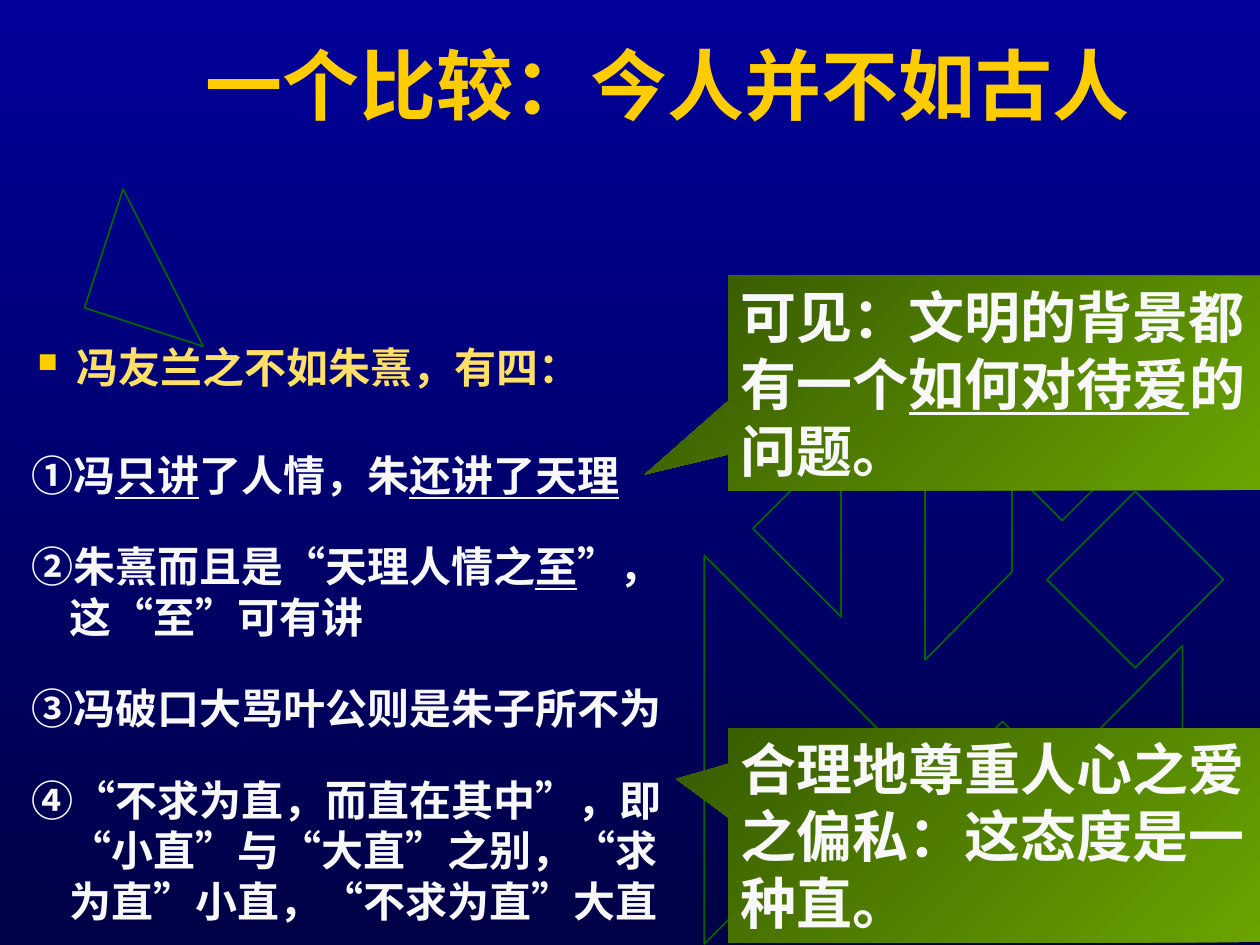
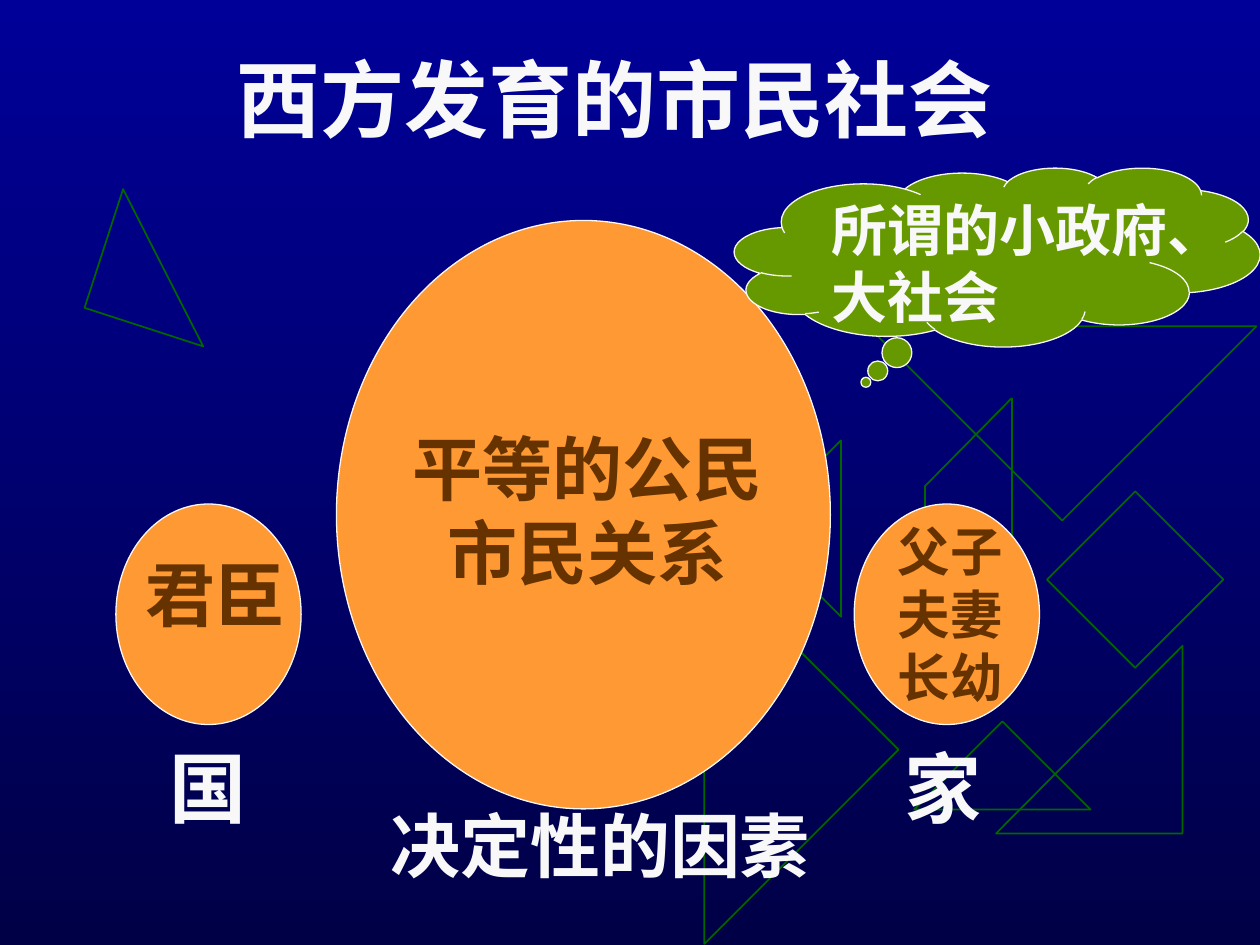
from dataclasses import dataclass
from typing import Any

import lxml.etree
import pptx
import pptx.dml.color
import pptx.enum.shapes
import pptx.enum.text
import pptx.oxml.ns
import pptx.util

Inches = pptx.util.Inches
Pt = pptx.util.Pt
Kind = pptx.enum.shapes.MSO_SHAPE
Align = pptx.enum.text.PP_ALIGN
Anchor = pptx.enum.text.MSO_ANCHOR
qn = pptx.oxml.ns.qn


@dataclass(frozen=True)
class Theme:
    sky_top: str = "000099"
    sky_bottom: str = "000047"
    outline: str = "006600"
    gold: str = "FFCC00"
    pale_gold: str = "FFE066"
    white: str = "F8F8F8"
    orange: str = "FF9933"
    brown: str = "663300"
    green: str = "669900"
    callout_light: str = "6AA400"
    callout_dark: str = "3A5E00"
    sans: str = "Arial"
    serif: str = "Times New Roman"
    chinese: str = "Noto Sans CJK SC"
    banner: int = 48
    heading: int = 44
    large: int = 40
    remark: int = 32
    family: int = 30
    body: int = 24
    line_pitch: float = 1.2


THEME = Theme()


@dataclass(frozen=True)
class Box:
    left: float
    top: float
    width: float
    height: float

    def lengths(self) -> tuple[int, ...]:
        return tuple(Inches(v) for v in (self.left, self.top, self.width, self.height))


@dataclass(frozen=True)
class Outline:
    box: Box
    rotation: float = 0
    flipped: bool = False
    kind: Any = Kind.RIGHT_TRIANGLE


@dataclass(frozen=True)
class Label:
    text: str
    box: Box
    size: int
    color: str = THEME.white
    font: str = THEME.sans
    align: Any = Align.LEFT


@dataclass(frozen=True)
class Remark:
    text: str
    top: float
    tail: tuple[float, float]


OUTLINES = [
    Outline(Box(0.8, 1.63, 0.99, 0.99), 108, True),
    Outline(Box(7.46, 5.93, 0.99, 0.99), 225, True),
    Outline(Box(7.9, 5.13, 1.49, 1.48), 270),
    Outline(Box(8.31, 3.9, 1.4, 1.4), kind=Kind.DIAMOND),
    Outline(Box(4.5, 4.86, 2.18, 2.18), 225),
    Outline(Box(6.18, 3.7, 0.99, 0.99), 135, True),
    Outline(Box(7.34, 1.5, 2.18, 2.18), 315),
]
BLADE_CORNERS = [(8.03, 3.16), (8.03, 4.54), (7.34, 5.24), (7.34, 3.86)]

ARGUMENTS = [
    "①冯_只讲_了人情，朱_还讲了天理_",
    "②朱熹而且是“天理人情之_至_”，\n这“至”可有讲",
    "③冯破口大骂叶公则是朱子所不为",
    "④“不求为直，而直在其中”，即\n“小直”与“大直”之别，“求\n为直”小直，“不求为直”大直",
]
REMARKS = [
    Remark("可见：文明的背景都有一个_如何对待爱_的问题。", 2.19, (-0.657, 0.427)),
    Remark("合理地尊重人心之爱之偏私：这态度是一种直。", 5.78, (-0.598, -0.263)),
]

SPHERES = [
    Box(2.67, 1.75, 3.92, 4.67),
    Box(0.92, 4, 1.47, 1.75),
    Box(6.78, 4, 1.47, 1.75),
]
SPHERE_LABELS = [
    Label("国", Box(1.25, 5.83, 0.83, 0.84), THEME.heading),
    Label("家", Box(7.08, 5.83, 0.83, 0.84), THEME.heading),
    Label("决定性的因素", Box(3, 6.32, 3.67, 0.77), THEME.large),
    Label("平等的公民市民关系", Box(3, 3.33, 3.33, 1.44), THEME.large,
          THEME.brown, THEME.serif, Align.CENTER),
    Label("君臣", Box(0.75, 4.33, 1.92, 0.77), THEME.large,
          THEME.brown, align=Align.CENTER),
]


def rgb(color: str) -> pptx.dml.color.RGBColor:
    return pptx.dml.color.RGBColor.from_string(color)


def write(paragraph: Any, text: str, *, size: int, color: str = THEME.white,
          font: str = THEME.sans, align: Any = Align.LEFT,
          before: float = 0, pitch: float = THEME.line_pitch) -> None:
    """Fill a paragraph; _marked_ parts are underlined, newlines break the line."""
    paragraph.alignment = align
    paragraph.line_spacing = Pt(size * pitch)
    paragraph.space_before = Pt(before)
    for part, words in enumerate(text.split("_")):
        for row, line in enumerate(words.split("\n")):
            if row:
                paragraph.add_line_break()
            if not line:
                continue
            run = paragraph.add_run()
            run.text = line
            run.font.name = font
            run.font.size = Pt(size)
            run.font.bold = True
            run.font.underline = part % 2 == 1
            run.font.color.rgb = rgb(color)
            east_asian = lxml.etree.Element(qn("a:ea"), typeface=THEME.chinese)
            run.font.element.find(qn("a:latin")).addnext(east_asian) if hasattr(
                run.font, "element") else run._r.rPr.find(qn("a:latin")).addnext(east_asian)


def set_gradient(fill: Any, colors: tuple[str, str], angle: float) -> None:
    fill.gradient()
    fill.gradient_angle = angle
    for stop, color in zip(fill.gradient_stops, colors):
        stop.color.rgb = rgb(color)


def add_figure(slide: Any, kind: Any, box: Box, *, fill: str | None = None,
               line: str | None = None, weight: float = 0.75) -> Any:
    figure = slide.shapes.add_shape(kind, *box.lengths())
    figure.shadow.inherit = False
    if fill:
        figure.fill.solid()
        figure.fill.fore_color.rgb = rgb(fill)
    else:
        figure.fill.background()
    if line:
        figure.line.color.rgb = rgb(line)
        figure.line.width = Pt(weight)
    else:
        figure.line.fill.background()
    return figure


def add_backdrop(slide: Any) -> None:
    """Draw the green outlines behind the content of every slide."""
    for outline in OUTLINES:
        figure = add_figure(slide, outline.kind, outline.box, line=THEME.outline, weight=1)
        figure.rotation = outline.rotation
        if outline.flipped:
            figure.element.spPr.find(qn("a:xfrm")).set("flipH", "1")
    for start, end in zip(BLADE_CORNERS, BLADE_CORNERS[1:] + BLADE_CORNERS[:1]):
        edge = slide.shapes.add_connector(
            pptx.enum.shapes.MSO_CONNECTOR.STRAIGHT, *(Inches(v) for v in start + end))
        edge.line.color.rgb = rgb(THEME.outline)
        edge.line.width = Pt(1)
        lxml.etree.SubElement(edge.element.spPr, qn("a:effectLst"))


def add_slide(deck: Any, title: str, box: Box, **style: Any) -> Any:
    slide = deck.slides.add_slide(deck.slide_layouts[5])
    heading = slide.shapes.title
    heading.left, heading.top, heading.width, heading.height = box.lengths()
    heading.text_frame.auto_size = pptx.enum.text.MSO_AUTO_SIZE.NONE
    heading.text_frame.vertical_anchor = Anchor.MIDDLE
    write(heading.text_frame.paragraphs[0], title, **style)
    add_backdrop(slide)
    return slide


def add_text_frame(slide: Any, box: Box) -> Any:
    frame = slide.shapes.add_textbox(*box.lengths()).text_frame
    frame.word_wrap = True
    return frame


def add_label(slide: Any, label: Label) -> None:
    """Write one paragraph for each line of the label."""
    frame = add_text_frame(slide, label.box)
    for row, line in enumerate(label.text.split("\n")):
        paragraph = frame.add_paragraph() if row else frame.paragraphs[0]
        write(paragraph, line, size=label.size, color=label.color,
              font=label.font, align=label.align)


def set_indent(paragraph: Any, margin: float, hanging: float) -> Any:
    properties = paragraph._p.get_or_add_pPr()
    properties.set("marL", str(Inches(margin)))
    properties.set("indent", str(-Inches(hanging)))
    return properties


def add_square_bullet(properties: Any) -> None:
    bullet_color = lxml.etree.SubElement(properties, qn("a:buClr"))
    lxml.etree.SubElement(bullet_color, qn("a:srgbClr"), val=THEME.gold)
    lxml.etree.SubElement(properties, qn("a:buSzPct"), val="65000")
    lxml.etree.SubElement(properties, qn("a:buChar"), char="■")


def add_arguments(slide: Any) -> None:
    frame = add_text_frame(slide, Box(0.15, 2.66, 5.36, 4.84))
    lead = frame.paragraphs[0]
    add_square_bullet(set_indent(lead, 0.36, 0.31))
    write(lead, "冯友兰之不如朱熹，有四：", size=THEME.body, color=THEME.pale_gold)
    for order, argument in enumerate(ARGUMENTS):
        paragraph = frame.add_paragraph()
        set_indent(paragraph, 0.3, 0.3)
        write(paragraph, argument, size=THEME.body, before=23.5 if order else 33)


def add_remark(slide: Any, remark: Remark) -> None:
    callout = add_figure(slide, Kind.RECTANGULAR_CALLOUT, Box(5.78, remark.top, 4.22, 1.7))
    set_gradient(callout.fill, (THEME.callout_light, THEME.callout_dark), 135)
    callout.adjustments[0], callout.adjustments[1] = remark.tail
    callout.text_frame.word_wrap = True
    callout.text_frame.vertical_anchor = Anchor.TOP
    write(callout.text_frame.paragraphs[0], remark.text,
          size=THEME.remark, font=THEME.chinese)


def build_comparison(deck: Any) -> None:
    slide = add_slide(deck, "一个比较：今人并不如古人", Box(1.32, 0.16, 7.75, 1.09),
                      size=THEME.heading, color=THEME.gold, font=THEME.serif,
                      align=Align.RIGHT, pitch=1.08)
    add_arguments(slide)
    for remark in REMARKS:
        add_remark(slide, remark)


def build_civil_society(deck: Any) -> None:
    slide = add_slide(deck, "西方发育的市民社会", Box(1.25, 0.33, 7.25, 0.9),
                      size=THEME.banner, align=Align.CENTER)
    for sphere in SPHERES:
        add_figure(slide, Kind.OVAL, sphere, fill=THEME.orange, line=THEME.white)
    for label in SPHERE_LABELS:
        add_label(slide, label)
    add_label(slide, Label("父子\n夫妻\n长幼", Box(6.58, 4.07, 1.92, 1.6), THEME.family,
                           THEME.brown, align=Align.CENTER))
    cloud = add_figure(slide, Kind.CLOUD_CALLOUT, Box(5.83, 1.33, 4.17, 1.42),
                       fill=THEME.green, line=THEME.white)
    cloud.adjustments[0], cloud.adjustments[1] = -0.25, 0.7
    add_label(slide, Label("所谓的小政府、大社会", Box(6.5, 1.5, 3.67, 1.17), THEME.remark))


def main() -> None:
    deck = pptx.Presentation()
    deck.slide_width, deck.slide_height = Inches(10), Inches(7.5)
    set_gradient(deck.slide_master.background.fill, (THEME.sky_top, THEME.sky_bottom), 270)
    build_comparison(deck)
    build_civil_society(deck)
    deck.save("out.pptx")


if __name__ == "__main__":
    main()
